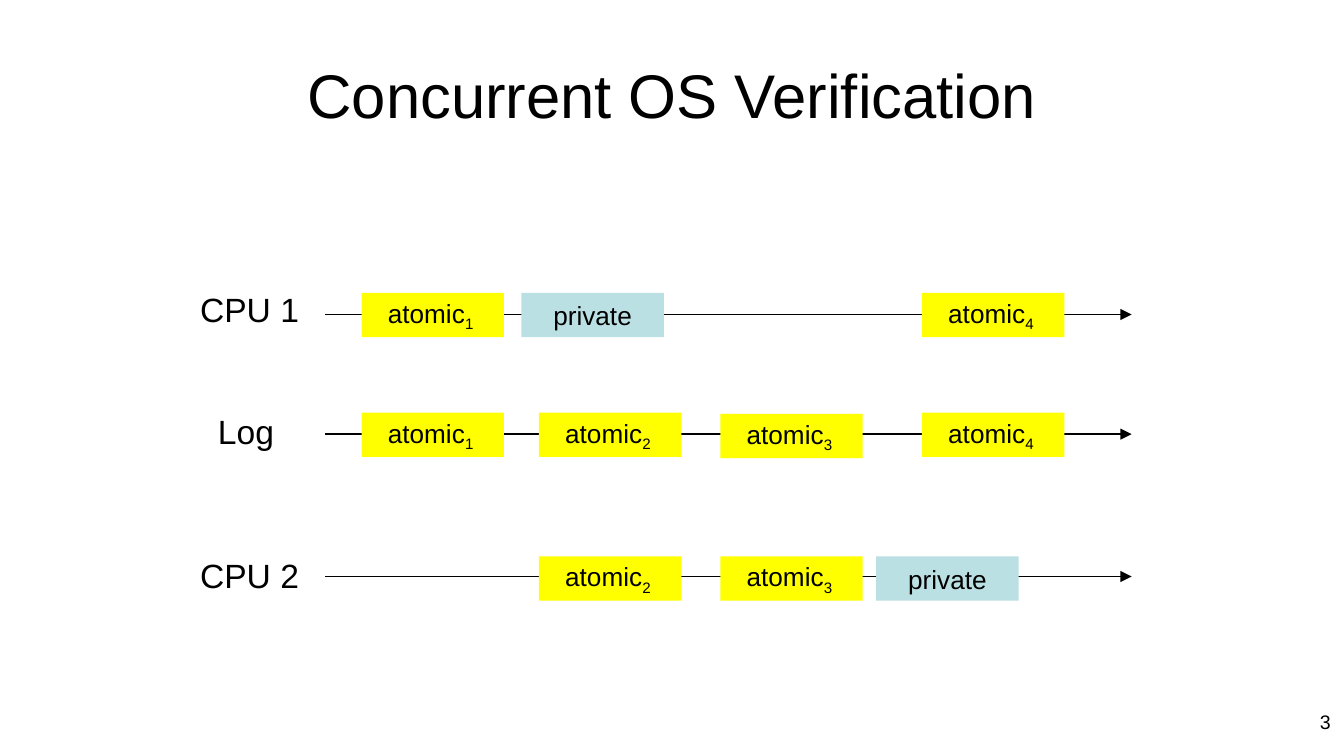
"""Build the slide showing two CPU timelines and their shared log."""
from typing import NamedTuple

from lxml import etree
from pptx import Presentation
from pptx.dml.color import RGBColor
from pptx.enum.shapes import MSO_CONNECTOR, MSO_SHAPE
from pptx.enum.text import MSO_ANCHOR, PP_ALIGN
from pptx.oxml.ns import qn
from pptx.slide import Slide
from pptx.text.text import TextFrame
from pptx.util import Inches, Pt

STRAIGHT = MSO_CONNECTOR.STRAIGHT
RECTANGLE = MSO_SHAPE.RECTANGLE
MIDDLE = MSO_ANCHOR.MIDDLE
LEFT, CENTER, RIGHT = PP_ALIGN.LEFT, PP_ALIGN.CENTER, PP_ALIGN.RIGHT

BLACK = RGBColor(0x00, 0x00, 0x00)
YELLOW = RGBColor(0xFF, 0xFF, 0x00)
PALE_BLUE = RGBColor(0xBB, 0xE0, 0xE3)

FONT = "Arial"
SLIDE_WIDTH = 10
SLIDE_HEIGHT = SLIDE_WIDTH * 9 / 16
AXIS_START, AXIS_END = 2.42, 8.42
BLOCK_WIDTH, BLOCK_HEIGHT = 1.06, 0.33
LABEL_HEIGHT = 0.4


class Block(NamedTuple):
    left: float
    name: str
    index: str = ""
    drop: float = 0


class Timeline(NamedTuple):
    label: str
    label_left: float
    label_top: float
    label_width: float
    label_alignment: PP_ALIGN
    axis_y: float
    block_top: float
    blocks: tuple[Block, ...]


ATOMIC_1 = Block(2.69, "atomic", "1")
ATOMIC_2 = Block(4.01, "atomic", "2")
ATOMIC_3 = Block(5.36, "atomic", "3")
ATOMIC_4 = Block(6.86, "atomic", "4")

TIMELINES = (
    Timeline("CPU 1", 1.39, 2.1, 0.95, LEFT, 2.34, 2.18,
             (ATOMIC_1, Block(3.88, "private"), ATOMIC_4)),
    Timeline("Log", 1.52, 3.01, 0.62, CENTER, 3.23, 3.07,
             (ATOMIC_1, ATOMIC_2, ATOMIC_3._replace(drop=0.01), ATOMIC_4)),
    Timeline("CPU 2", 1.39, 4.08, 0.95, LEFT, 4.29, 4.14,
             (ATOMIC_2, ATOMIC_3, Block(6.52, "private"))),
)


def format_text(text_frame: TextFrame, size: float, alignment: PP_ALIGN) -> None:
    """Apply the slide's font to every run."""
    for paragraph in text_frame.paragraphs:
        paragraph.alignment = alignment
        for run in paragraph.runs:
            run.font.name = FONT
            run.font.size = Pt(size)
            run.font.color.rgb = BLACK


def add_label(slide: Slide, text: str, left: float, top: float, width: float,
              height: float, size: float, alignment: PP_ALIGN, wrap: bool) -> None:
    """Add a text box."""
    label = slide.shapes.add_textbox(
        Inches(left), Inches(top), Inches(width), Inches(height))
    label.text_frame.word_wrap = wrap
    label.text_frame.text = text
    format_text(label.text_frame, size, alignment)


def add_axis(slide: Slide, y: float) -> None:
    """Add a time arrow pointing right."""
    axis = slide.shapes.add_connector(
        STRAIGHT, Inches(AXIS_START), Inches(y), Inches(AXIS_END), Inches(y))
    axis.line.color.rgb = BLACK
    axis.line.width = Pt(0.75)
    etree.SubElement(axis.line._get_or_add_ln(), qn("a:tailEnd"), type="triangle")
    etree.SubElement(axis._element.spPr, qn("a:effectLst"))


def add_block(slide: Slide, block: Block, top: float) -> None:
    """Add one operation, with its index as a subscript."""
    shape = slide.shapes.add_shape(
        RECTANGLE, Inches(block.left), Inches(top + block.drop),
        Inches(BLOCK_WIDTH), Inches(BLOCK_HEIGHT))
    shape.shadow.inherit = False
    shape.fill.solid()
    shape.fill.fore_color.rgb = YELLOW if block.index else PALE_BLUE
    shape.line.fill.background()
    text_frame = shape.text_frame
    text_frame.vertical_anchor = MIDDLE
    text_frame.text = block.name
    if block.index:
        subscript = text_frame.paragraphs[0].add_run()
        subscript.text = f"{block.index} "
        subscript.font._element.set("baseline", "-25000")
    format_text(text_frame, 14, CENTER)


def add_timeline(slide: Slide, timeline: Timeline) -> None:
    """Add a labelled axis with its operations."""
    add_axis(slide, timeline.axis_y)
    add_label(slide, timeline.label, timeline.label_left, timeline.label_top,
              timeline.label_width, LABEL_HEIGHT, 18,
              timeline.label_alignment, False)
    for block in timeline.blocks:
        add_block(slide, block, timeline.block_top)


def main() -> None:
    """Create and save the presentation."""
    presentation = Presentation()
    presentation.slide_width = Inches(SLIDE_WIDTH)
    presentation.slide_height = Inches(SLIDE_HEIGHT)
    slide = presentation.slides.add_slide(presentation.slide_layouts[5])

    title = slide.shapes.title
    title.left, title.top = Inches(0.5), Inches(0.23)
    title.width, title.height = Inches(9), Inches(0.94)
    title.text_frame.text = "Concurrent OS Verification"
    title.text_frame.vertical_anchor = MIDDLE
    format_text(title.text_frame, 33, CENTER)

    for timeline in TIMELINES:
        add_timeline(slide, timeline)
    add_label(slide, "3", 7.67, 5.23, 2.33, 0.39, 10.5, RIGHT, True)
    presentation.save("out.pptx")


if __name__ == "__main__":
    main()
